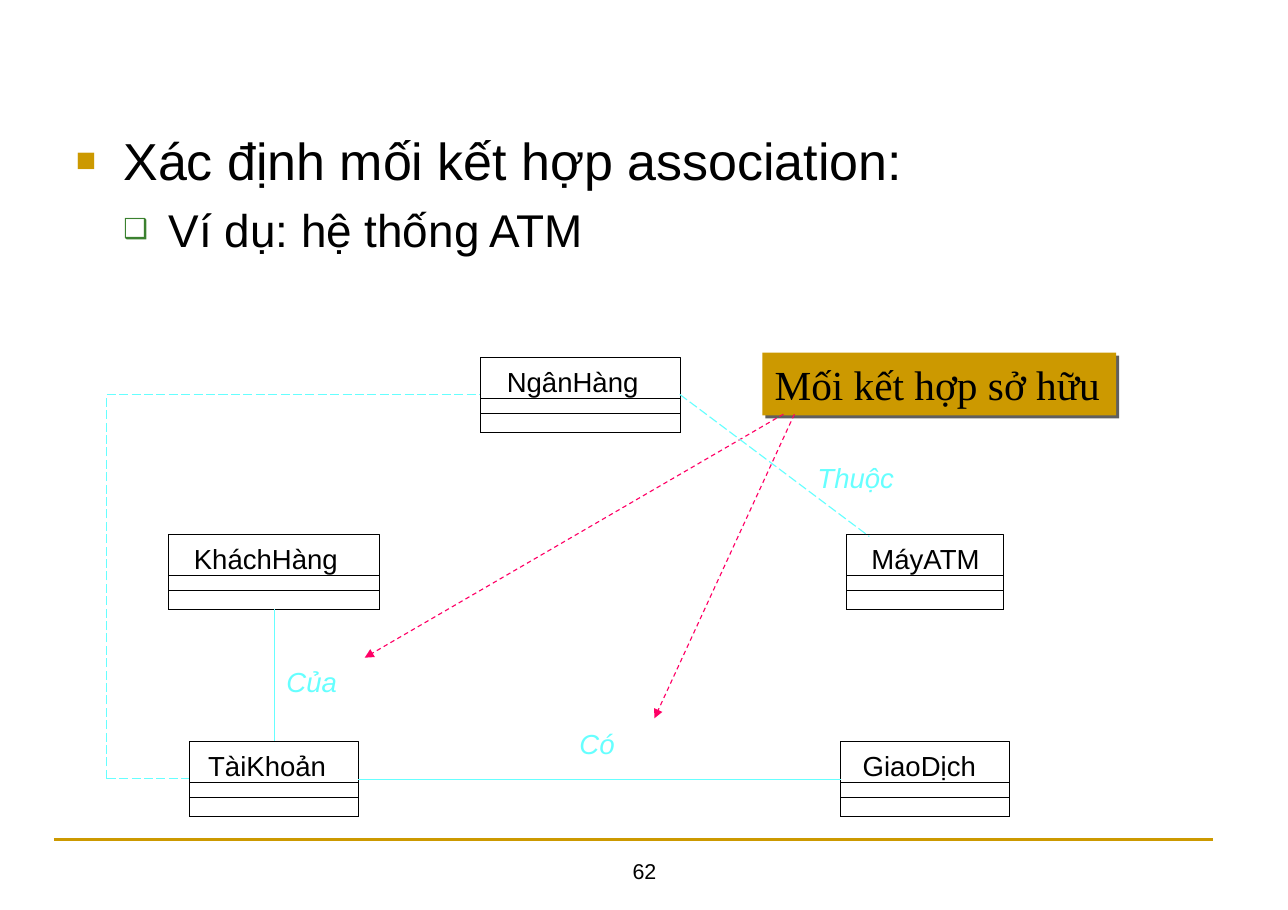
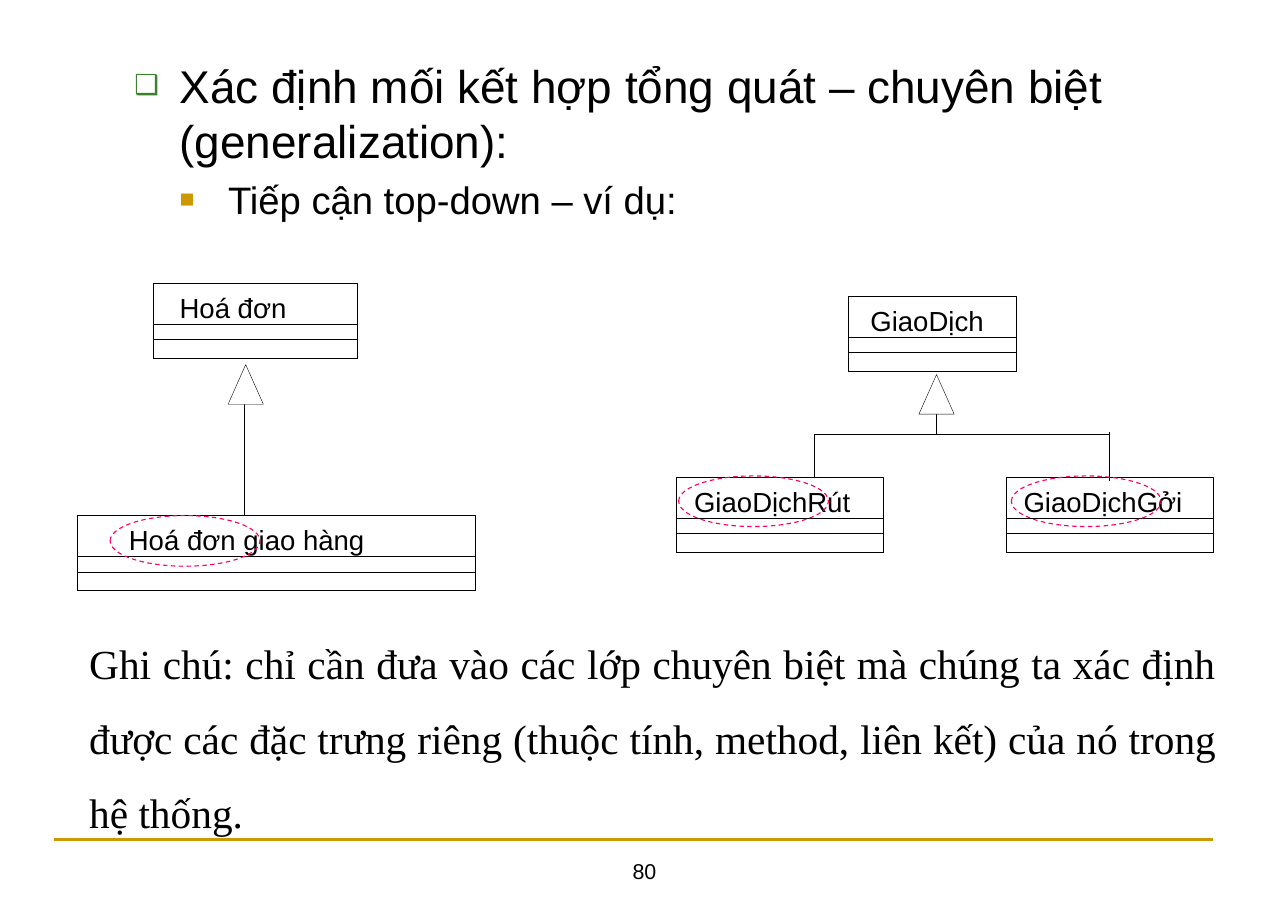
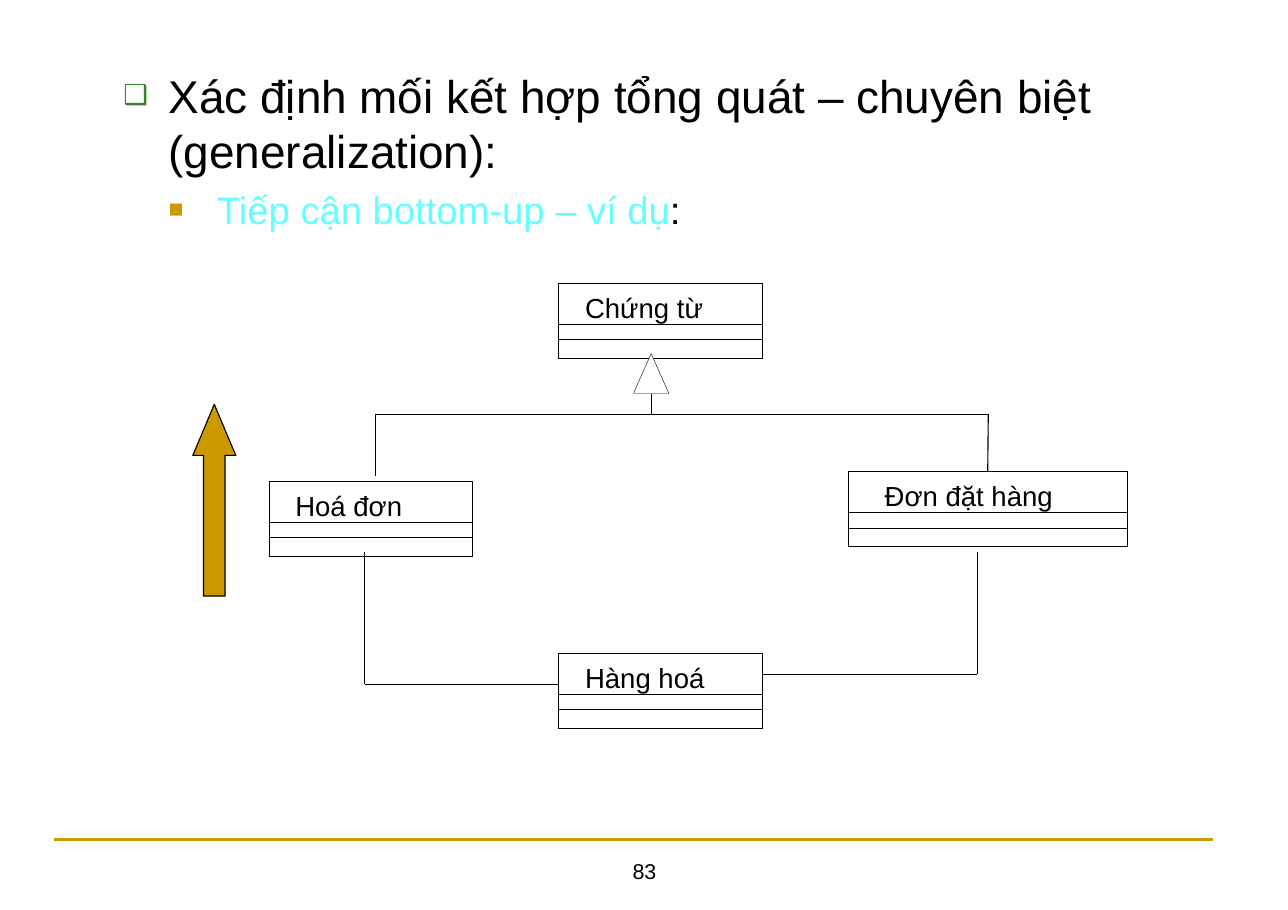
from lxml.etree import SubElement
from pptx import Presentation
from pptx.dml.color import RGBColor
from pptx.enum.dml import MSO_LINE
from pptx.enum.shapes import MSO_CONNECTOR, MSO_SHAPE
from pptx.enum.text import MSO_ANCHOR, MSO_AUTO_SIZE, PP_ALIGN
from pptx.oxml.ns import qn
from pptx.util import Inches, Pt

COLOURS = {"text": "000000", "gold": "CC9900", "green": "3B812F", "cyan": "66FFFF",
           "pink": "FF0066", "white": "FFFFFF", "shadow": "5F5F5F"}
RGB = {name: RGBColor.from_string(value) for name, value in COLOURS.items()}
SERIF = "Times New Roman"
TOP, LEFT, BOTTOM, RIGHT = range(4)

# Bullet levels: character, colour, bullet size %, left margin, hanging indent, text size
LEVELS = [("■", "gold", 65, 0.43, 0.43, 34),
          ("❑", "green", 60, 0.84, 0.41, 30),
          ("■", "gold", 65, 1.28, 0.44, 25)]

# Line styles: colour, width, dash, arrowhead
STYLES = {"hair": ("text", 0.25, None, False),
          "solid": ("text", 0.75, None, False),
          "link": ("cyan", 0.2, None, False),
          "dashed link": ("cyan", 0.75, MSO_LINE.LONG_DASH, False),
          "pointer": ("pink", 0.75, MSO_LINE.DASH, True),
          "rule": ("gold", 1.5, None, False)}

GENERALIZATION = "Xác định mối kết hợp tổng quát – chuyên biệt (generalization):"

# Page number: body position, then (level, runs) for each paragraph
BODIES = {
    62: ((0.58, 1.11, 10.53, 1.28),
         [(0, [("Xác định mối kết hợp association:", "text")]),
          (1, [("Ví dụ: hệ thống ATM", "text")])]),
    80: ((0.68, 0.46, 10.53, 1.74),
         [(1, [(GENERALIZATION, "text")]),
          (2, [("Tiếp cận top-down – ví dụ:", "text")])]),
    83: ((0.58, 0.55, 10.53, 1.84),
         [(1, [(GENERALIZATION, "text")]),
          (2, [("Tiếp cận bottom-up – ví dụ", "cyan"), (":", "text")])]),
}

# Page, class name, left, top, width, indent of the name
CLASSES = [
    (62, "MáyATM", 7.68, 4.85, 1.43, 0.23),
    (62, "NgânHàng", 4.36, 3.24, 1.81, 0.24),
    (62, "KháchHàng", 1.53, 4.85, 1.91, 0.23),
    (62, "TàiKhoản", 1.72, 6.73, 1.53, 0.17),
    (62, "GiaoDịch", 7.63, 6.73, 1.53, 0.2),
    (80, "Hoá đơn", 1.39, 2.57, 1.85, 0.24),
    (80, "Hoá đơn giao hàng", 0.7, 4.68, 3.61, 0.47),
    (80, "GiaoDịch", 7.7, 2.69, 1.52, 0.2),
    (80, "GiaoDịchRút", 6.14, 4.33, 1.88, 0.16),
    (80, "GiaoDịchGởi", 9.13, 4.33, 1.88, 0.16),
    (83, "Hoá đơn", 2.44, 4.37, 1.85, 0.24),
    (83, "Đơn đặt hàng", 7.7, 4.28, 2.53, 0.33),
    (83, "Hàng hoá", 5.07, 5.93, 1.85, 0.24),
    (83, "Chứng từ", 5.07, 2.57, 1.85, 0.24),
]

# Page, style, start, end; an end is a point or a (class name, side) pair
LINES = [
    (62, "link", ("TàiKhoản", RIGHT), ("GiaoDịch", LEFT)),
    (62, "link", ("KháchHàng", BOTTOM), ("TàiKhoản", TOP)),
    (62, "pointer", (7.11, 3.76), (3.31, 5.97)),
    (62, "pointer", (7.21, 3.76), (5.94, 6.52)),
    (62, "dashed link", ("NgânHàng", RIGHT), (7.89, 4.87)),
    (62, "dashed link", (0.97, 7.07), ("TàiKhoản", LEFT)),
    (62, "dashed link", (0.97, 7.07), (0.97, 3.58)),
    (62, "dashed link", (0.97, 3.58), ("NgânHàng", LEFT)),
    (80, "hair", (8.5, 3.94), (8.5, 3.76)),
    (80, "hair", (7.39, 3.94), (10.07, 3.94)),
    (80, "hair", (7.39, 3.94), (7.39, 4.33)),
    (80, "hair", (10.07, 3.92), (10.07, 4.37)),
    (80, "solid", (2.22, 3.67), (2.22, 4.68)),
    (83, "solid", (3.31, 5.01), (3.31, 6.21)),
    (83, "solid", (3.31, 6.21), (5.07, 6.21)),
    (83, "solid", (8.87, 5.01), (8.87, 6.12)),
    (83, "solid", (6.92, 6.12), (8.87, 6.12)),
    (83, "solid", (5.91, 3.58), (5.91, 3.76)),
    (83, "solid", (3.41, 3.76), (8.97, 3.76)),
    (83, "solid", (3.41, 3.76), (3.41, 4.32)),
    (83, "solid", (8.97, 3.76), ("Đơn đặt hàng", TOP)),
]
LINES += [(page, "rule", (0.49, 7.62), (11.01, 7.62)) for page in BODIES]


def add_run(paragraph, text, size, colour="text", font="Arial", italic=False):
    run = paragraph.add_run()
    run.text = text
    run.font.size = Pt(size)
    run.font.name = font
    run.font.italic = italic
    run.font.color.rgb = RGB[colour]


def set_frame(frame, margin_x=0.11, margin_y=0.06, wrap=True):
    """Set the insets and wrapping of a text frame and return its first paragraph."""
    frame.margin_left = frame.margin_right = Inches(margin_x)
    frame.margin_top = frame.margin_bottom = Inches(margin_y)
    frame.auto_size = MSO_AUTO_SIZE.NONE
    frame.vertical_anchor = MSO_ANCHOR.TOP
    frame.word_wrap = wrap
    return frame.paragraphs[0]


presentation = Presentation()
presentation.slide_width, presentation.slide_height = Inches(11.69), Inches(8.26)
slides = {}

# Bulleted body and page number
for page, (position, paragraphs) in BODIES.items():
    slide = slides[page] = presentation.slides.add_slide(presentation.slide_layouts[1])
    title = slide.shapes.title
    title.element.getparent().remove(title.element)

    body = slide.placeholders[1]
    body.left, body.top, body.width, body.height = map(Inches, position)
    paragraph = set_frame(body.text_frame)
    for index, (level, runs) in enumerate(paragraphs):
        bullet, colour, percent, margin, hanging, size = LEVELS[level]
        if index:
            paragraph = body.text_frame.add_paragraph()
        paragraph.level = level
        paragraph.space_before = Pt(0.23 * size if index else 0)
        properties = paragraph._p.get_or_add_pPr()
        properties.set("marL", str(Inches(margin)))
        properties.set("indent", str(-Inches(hanging)))
        bullet_colour = SubElement(properties, qn("a:buClr"))
        SubElement(bullet_colour, qn("a:srgbClr"), val=COLOURS[colour])
        SubElement(properties, qn("a:buSzPct"), val=str(percent * 1000))
        SubElement(properties, qn("a:buChar"), char=bullet)
        for text, text_colour in runs:
            add_run(paragraph, text, size, text_colour)

    number = slide.shapes.add_textbox(Inches(4), Inches(7.53), Inches(3.7), Inches(0.55))
    paragraph = set_frame(number.text_frame)
    number.text_frame.vertical_anchor = MSO_ANCHOR.BOTTOM
    paragraph.alignment = PP_ALIGN.CENTER
    add_run(paragraph, str(page), 14)

# Class boxes: an outline with two compartments at its foot
class_outlines = {}
for page, name, left, top, width, indent in CLASSES:
    group = slides[page].shapes.add_group_shape()
    for offset in (0, 0.37, 0.51):
        outline = group.shapes.add_shape(MSO_SHAPE.RECTANGLE, Inches(left), Inches(top + offset),
                                         Inches(width), Inches(0.68 - offset))
        outline.shadow.inherit = False
        outline.fill.background()
        outline.line.color.rgb = RGB["text"]
        outline.line.width = Pt(0.2)
        class_outlines.setdefault((page, name), outline)
    label = group.shapes.add_textbox(Inches(left + indent), Inches(top + 0.07),
                                     Inches(width - indent), Inches(0.3))
    add_run(set_frame(label.text_frame, 0, 0), name, 18)

# Callout for the ownership associations
callout = slides[62].shapes.add_shape(MSO_SHAPE.RECTANGLE, Inches(6.92), Inches(3.2),
                                      Inches(3.21), Inches(0.57))
callout.fill.solid()
callout.fill.fore_color.rgb = RGB["gold"]
callout.line.fill.background()
callout.shadow.inherit = False
effects = callout._element.spPr.find(qn("a:effectLst"))
shadow = SubElement(effects, qn("a:outerShdw"), dist=str(Pt(2.8)), dir="2700000",
                    algn="ctr", rotWithShape="0")
SubElement(shadow, qn("a:srgbClr"), val=COLOURS["shadow"])
paragraph = set_frame(callout.text_frame, wrap=False)
paragraph.alignment = PP_ALIGN.LEFT
add_run(paragraph, "Mối kết hợp sở hữu", 27, font=SERIF)

# Lines and arrows
for page, style, start, end in LINES:
    colour, width, dash, arrow = STYLES[style]
    points = [(0, 0) if isinstance(point[0], str) else point for point in (start, end)]
    connector = slides[page].shapes.add_connector(
        MSO_CONNECTOR.STRAIGHT, *[Inches(value) for point in points for value in point])
    for point, connect in ((start, connector.begin_connect), (end, connector.end_connect)):
        if isinstance(point[0], str):
            connect(class_outlines[page, point[0]], point[1])
    connector.line.color.rgb = RGB[colour]
    connector.line.width = Pt(width)
    if dash:
        connector.line.dash_style = dash
    if arrow:
        SubElement(connector.line._get_or_add_ln(), qn("a:tailEnd"), type="triangle")
    SubElement(connector._element.spPr, qn("a:effectLst"))

# Names of the associations
for text, left, top in (("Có", 5.26, 6.6), ("Của", 2.6, 6.04), ("Thuộc", 7.42, 4.18)):
    label = slides[62].shapes.add_textbox(Inches(left), Inches(top), Inches(0.8), Inches(0.3))
    add_run(set_frame(label.text_frame, 0, 0), text, 18, "cyan", italic=True)

# Generalization triangles, given by their apex
for page, x, y in ((80, 8.5, 3.4), (80, 2.23, 3.31), (83, 5.91, 3.21)):
    builder = slides[page].shapes.build_freeform(Inches(x), Inches(y), scale=1.0)
    builder.add_line_segments([(Inches(x + 0.16), Inches(y + 0.36)),
                               (Inches(x - 0.16), Inches(y + 0.36))], close=True)
    triangle = builder.convert_to_shape()
    triangle.shadow.inherit = False
    triangle.fill.solid()
    triangle.fill.fore_color.rgb = RGB["white"]
    triangle.line.color.rgb = RGB["text"]
    triangle.line.width = Pt(0.25)

# Rings around the shared part of the class names
for left, top in ((1, 4.68), (6.16, 4.32), (9.18, 4.32)):
    ring = slides[80].shapes.add_shape(MSO_SHAPE.OVAL, Inches(left), Inches(top),
                                       Inches(1.36), Inches(0.46))
    ring.shadow.inherit = False
    ring.fill.background()
    ring.line.color.rgb = RGB["pink"]
    ring.line.width = Pt(0.75)
    ring.line.dash_style = MSO_LINE.DASH

note = slides[80].shapes.add_textbox(Inches(0.7), Inches(5.51), Inches(10.45), Inches(2.16))
paragraph = set_frame(note.text_frame)
paragraph.alignment = PP_ALIGN.JUSTIFY
paragraph.line_spacing = 1.5
add_run(paragraph, "Ghi chú: chỉ cần đưa vào các lớp chuyên biệt mà chúng ta xác định được các "
        "đặc trưng riêng (thuộc tính, method, liên kết) của nó trong hệ thống.", 27, font=SERIF)

# Bottom-up arrow
up_arrow = slides[83].shapes.add_shape(MSO_SHAPE.UP_ARROW, Inches(1.75), Inches(3.67),
                                       Inches(0.39), Inches(1.74))
up_arrow.adjustments[0] = 0.5
up_arrow.adjustments[1] = 1.19
up_arrow.shadow.inherit = False
up_arrow.fill.solid()
up_arrow.fill.fore_color.rgb = RGB["gold"]
up_arrow.line.color.rgb = RGB["text"]
up_arrow.line.width = Pt(0.75)

presentation.save("out.pptx")
